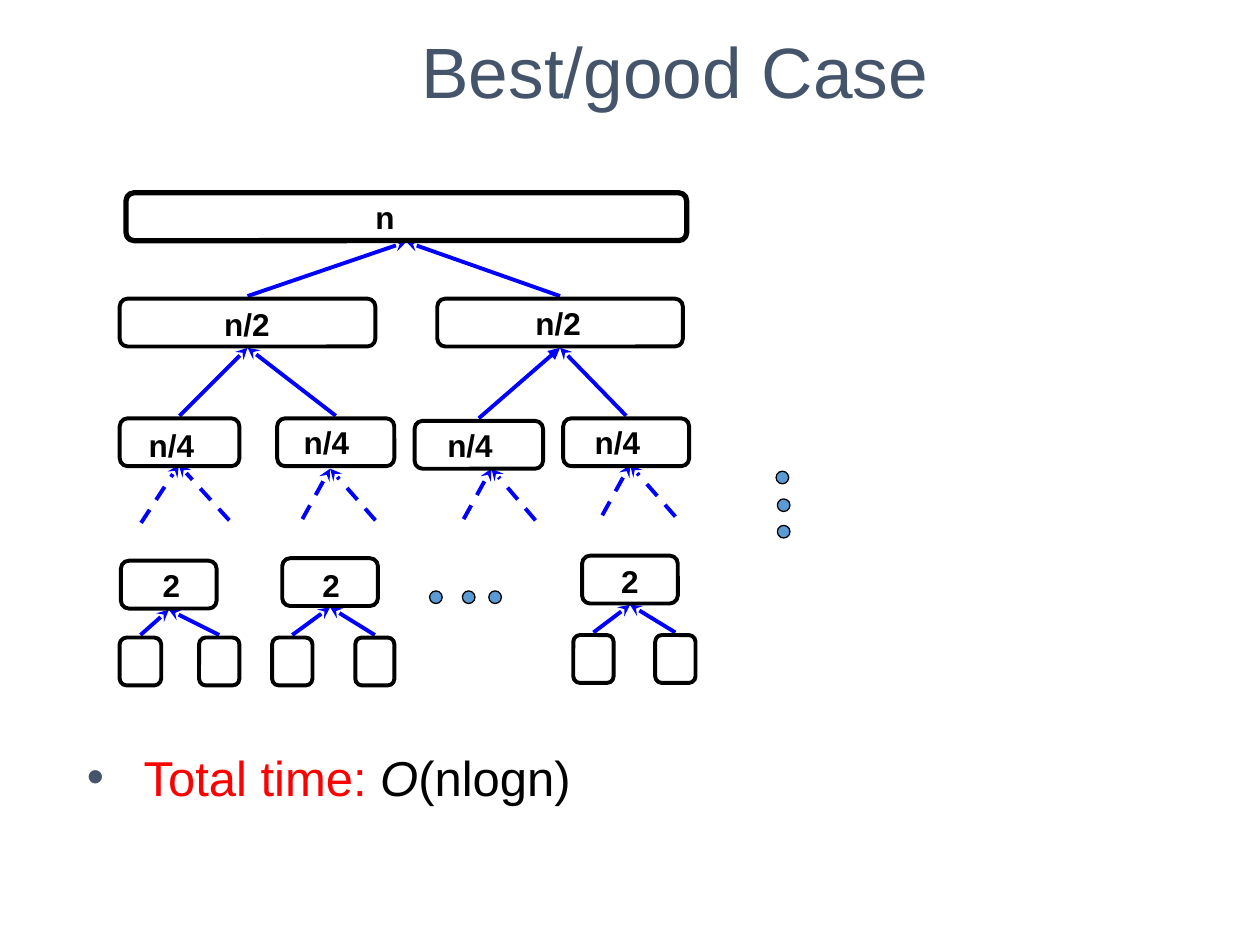
from lxml.etree import SubElement
from pptx import Presentation
from pptx.dml.color import RGBColor
from pptx.enum.dml import MSO_LINE
from pptx.enum.shapes import MSO_CONNECTOR, MSO_SHAPE
from pptx.enum.text import MSO_ANCHOR, MSO_AUTO_SIZE, PP_ALIGN
from pptx.oxml.ns import qn
from pptx.util import Inches, Pt

THEME = {
    "font": "Arial",
    "title": "44546A", "text": "000000", "accent": "FF0000",
    "outline": "000000", "arrow": "0000FF", "dot": "5B9BD5",
    "title_size": 40.7, "body_size": 28, "label_size": 18,
    "root_line": 3, "line": 2.24, "dot_line": 0.74,
}

TITLE = "Best/good Case"
# Text, colour, italic
CONCLUSION = [("Total time: ", "accent", False), ("O", "text", True), ("(nlogn)", "text", False)]

BOX_HEIGHT = 0.38
# Name: left, top, width of the box
BOXES = {
    "root": (1, 1.53, 4.45),
    "half 1": (0.95, 2.37, 2.03), "half 2": (3.47, 2.37, 1.95),
    "quarter 1": (0.95, 3.32, 0.95), "quarter 2": (2.2, 3.32, 0.93),
    "quarter 3": (3.29, 3.34, 1.02), "quarter 4": (4.47, 3.32, 1),
    "pair 1": (0.96, 4.45, 0.76), "pair 2": (2.24, 4.43, 0.76), "pair 3": (4.62, 4.41, 0.76),
    "leaf 1": (0.95, 5.06, 0.33), "leaf 2": (1.58, 5.06, 0.32),
    "leaf 3": (2.16, 5.06, 0.32), "leaf 4": (2.82, 5.06, 0.31),
    "leaf 5": (4.55, 5.04, 0.32), "leaf 6": (5.2, 5.04, 0.32),
}
CHILDREN = {
    "root": ("half 1", "half 2"),
    "half 1": ("quarter 1", "quarter 2"), "half 2": ("quarter 3", "quarter 4"),
    "pair 1": ("leaf 1", "leaf 2"), "pair 2": ("leaf 3", "leaf 4"), "pair 3": ("leaf 5", "leaf 6"),
}
TRIANGLE_EDGES = {("half 2", "quarter 3")}
# Text, left, top, width
LABELS = [
    ("n", 2.98, 1.57, 0.35), ("n/2", 1.78, 2.42, 0.56), ("n/2", 4.25, 2.41, 0.56),
    ("n/4", 1.18, 3.38, 0.56), ("n/4", 2.41, 3.36, 0.56),
    ("n/4", 3.55, 3.38, 0.56), ("n/4", 4.72, 3.36, 0.56),
    ("2", 1.29, 4.49, 0.14), ("2", 2.56, 4.49, 0.14), ("2", 4.93, 4.46, 0.14),
]
# Tip, left tail, right tail of the dashed arrows under each quarter
FANS = [
    ((1.42, 3.69), (1.12, 4.15), (1.82, 4.13)),
    ((2.62, 3.72), (2.4, 4.12), (2.98, 4.13)),
    ((3.9, 3.72), (3.68, 4.12), (4.25, 4.13)),
    ((5, 3.69), (4.78, 4.09), (5.36, 4.1)),
]
DOT_SIZE = 0.1
DOTS = [(6.16, 3.74), (6.17, 3.96), (6.17, 4.17), (3.41, 4.69), (3.67, 4.69), (3.88, 4.69)]


def color(name):
    """Return a theme colour."""
    return RGBColor.from_string(THEME[name])


def add_run(paragraph, text, size, color_name, bold=False, italic=False):
    """Add one formatted run."""
    run = paragraph.add_run()
    run.text = text
    font = run.font
    font.name, font.size = THEME["font"], Pt(THEME[size])
    font.bold, font.italic = bold, italic
    font.color.rgb = color(color_name)


def place(shape, left, top, width, height):
    """Move and size a placeholder."""
    shape.left, shape.top = Inches(left), Inches(top)
    shape.width, shape.height = Inches(width), Inches(height)


def add_title(slide):
    """Fill the title placeholder."""
    shape = slide.shapes.title
    place(shape, 1.23, 0.19, 8.25, 0.81)
    frame = shape.text_frame
    frame.auto_size = MSO_AUTO_SIZE.NONE
    frame.vertical_anchor = MSO_ANCHOR.MIDDLE
    paragraph = frame.paragraphs[0]
    paragraph.alignment, paragraph.line_spacing = PP_ALIGN.CENTER, 0.9
    add_run(paragraph, TITLE, "title_size", "title")


def add_conclusion(slide):
    """Fill the body placeholder with the bulleted conclusion."""
    shape = slide.placeholders[1]
    place(shape, 0.59, 5.88, 7.73, 1.04)
    frame = shape.text_frame
    frame.auto_size = MSO_AUTO_SIZE.NONE
    paragraph = frame.paragraphs[0]
    paragraph.space_before = Pt(0)
    for text, color_name, italic in CONCLUSION:
        add_run(paragraph, text, "body_size", color_name, italic=italic)
    properties = paragraph._p.get_or_add_pPr()
    properties.set("marL", str(Inches(0.45)))
    properties.set("indent", str(-Inches(0.45)))
    bullet_color = SubElement(properties, qn("a:buClr"))
    SubElement(bullet_color, qn("a:srgbClr"), val=THEME["title"])
    SubElement(properties, qn("a:buFont"), typeface=THEME["font"])
    SubElement(properties, qn("a:buChar"), char="•")


def add_arrow(slide, start, end, dashed=False, head="stealth"):
    """Draw an arrow that points at end."""
    arrow = slide.shapes.add_connector(MSO_CONNECTOR.STRAIGHT, *map(Inches, start + end))
    arrow.line.color.rgb = color("arrow")
    arrow.line.width = Pt(THEME["line"])
    if dashed:
        arrow.line.dash_style = MSO_LINE.DASH
    SubElement(arrow.line._get_or_add_ln(), qn("a:tailEnd"), type=head)
    SubElement(arrow._element.spPr, qn("a:effectLst"))


def add_outlined(slide, kind, bounds, line_width):
    """Draw an unfilled preset shape with a dark outline."""
    shape = slide.shapes.add_shape(kind, *map(Inches, bounds))
    shape.shadow.inherit = False
    shape.fill.background()
    shape.line.color.rgb = color("outline")
    shape.line.width = Pt(THEME[line_width])
    return shape


def add_tree(slide):
    """Draw the arrows from each child to its parent, then the boxes."""
    for parent, children in CHILDREN.items():
        left, top, width = BOXES[parent]
        end = (left + width / 2, top + BOX_HEIGHT + 0.01)
        for child in children:
            child_left, child_top, child_width = BOXES[child]
            start = (child_left + child_width / 2, child_top - 0.02)
            head = "triangle" if (parent, child) in TRIANGLE_EDGES else "stealth"
            add_arrow(slide, start, end, head=head)
    for tip, *tails in FANS:
        for tail in tails:
            add_arrow(slide, tail, tip, dashed=True)
    for name, bounds in BOXES.items():
        line_width = "root_line" if name == "root" else "line"
        box = add_outlined(slide, MSO_SHAPE.ROUNDED_RECTANGLE, bounds + (BOX_HEIGHT,), line_width)
        box.adjustments[0] = 0.167


def add_label(slide, text, left, top, width):
    """Add the size label of a box."""
    frame = slide.shapes.add_textbox(*map(Inches, (left, top, width, 0.3))).text_frame
    frame.margin_left = frame.margin_right = frame.margin_top = frame.margin_bottom = 0
    frame.word_wrap = True
    add_run(frame.paragraphs[0], text, "label_size", "text", bold=True)


def build():
    """Build and save the slide."""
    presentation = Presentation()
    presentation.slide_width, presentation.slide_height = Inches(10), Inches(7.5)
    slide = presentation.slides.add_slide(presentation.slide_layouts[1])
    add_title(slide)
    add_conclusion(slide)
    add_tree(slide)
    for label in LABELS:
        add_label(slide, *label)
    for left, top in DOTS:
        dot = add_outlined(slide, MSO_SHAPE.OVAL, (left, top, DOT_SIZE, DOT_SIZE), "dot_line")
        dot.fill.solid()
        dot.fill.fore_color.rgb = color("dot")
    presentation.save("out.pptx")


build()
